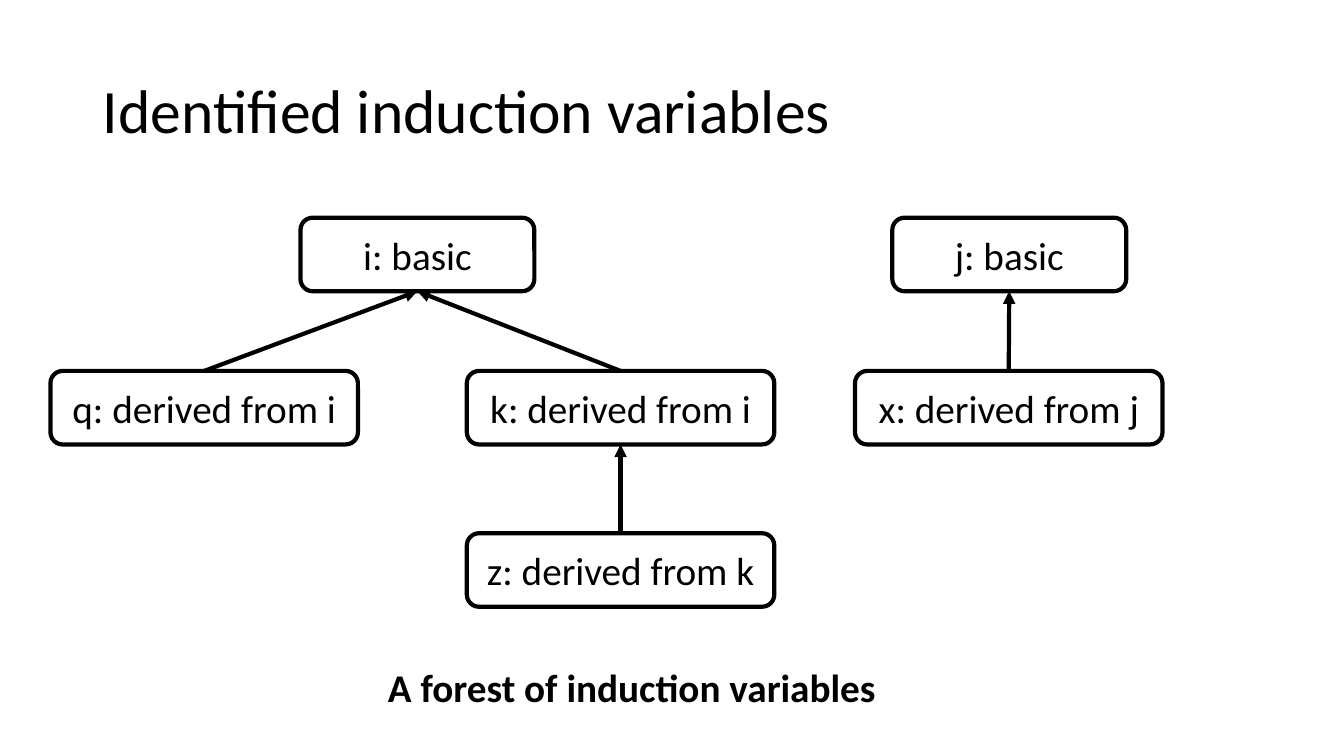
from dataclasses import dataclass

from lxml import etree
from pptx import Presentation
from pptx.dml.color import RGBColor
from pptx.enum.shapes import MSO_CONNECTOR as CONN, MSO_SHAPE as SHAPE
from pptx.enum.text import MSO_ANCHOR as ANCHOR, MSO_AUTO_SIZE as FIT, PP_ALIGN as ALIGN
from pptx.oxml.ns import qn
from pptx.shapes.autoshape import Shape
from pptx.slide import Slide
from pptx.text.text import TextFrame
from pptx.util import Inches, Pt

BLACK = RGBColor(0, 0, 0)
WHITE = RGBColor(255, 255, 255)
ROW_TOPS = (2.16, 3.68, 5.29)
NODE_HEIGHT = 0.73
BASIC_WIDTH, DERIVED_WIDTH = 2.32, 3.05
TOP_SITE, BOTTOM_SITE = 0, 2


@dataclass
class Variable:
    name: str
    left: float
    row: int
    parent: str = ""

    @property
    def label(self) -> str:
        kind = f"derived from {self.parent}" if self.parent else "basic"
        return f"{self.name}: {kind}"


VARIABLES = [
    Variable("i", 2.98, 0),
    Variable("j", 8.85, 0),
    Variable("k", 4.63, 1, "i"),
    Variable("z", 4.63, 2, "k"),
    Variable("q", 0.5, 1, "i"),
    Variable("x", 8.48, 1, "j"),
]


def write(tf: TextFrame, text: str, size: float, bold: bool = False) -> None:
    r = tf.paragraphs[0].add_run()
    r.text = text
    for key, value in {"name": "Calibri", "size": Pt(size), "bold": bold}.items():
        setattr(r.font, key, value)
    r.font.color.rgb = BLACK


def place(sp: Shape, left: float, top: float, width: float, height: float) -> None:
    box = {"left": left, "top": top, "width": width, "height": height}
    for key, value in box.items():
        setattr(sp, key, Inches(value))


def add_node(s: Slide, var: Variable) -> Shape:
    width = DERIVED_WIDTH if var.parent else BASIC_WIDTH
    sp = s.shapes.add_shape(
        SHAPE.ROUNDED_RECTANGLE, Inches(var.left),
        Inches(ROW_TOPS[var.row]), Inches(width), Inches(NODE_HEIGHT))
    sp.shadow.inherit = False
    sp.fill.background()
    sp.line.color.rgb = BLACK
    sp.line.width = Pt(3)
    tf = sp.text_frame
    tf.word_wrap = True
    tf.vertical_anchor = ANCHOR.MIDDLE
    tf.paragraphs[0].alignment = ALIGN.CENTER
    write(tf, var.label, 28)
    return sp


def add_arrow(s: Slide, child: Shape, parent: Shape) -> None:
    arrow = s.shapes.add_connector(CONN.STRAIGHT, 0, 0, 0, 0)
    arrow.begin_connect(child, TOP_SITE)
    arrow.end_connect(parent, BOTTOM_SITE)
    arrow.line.color.rgb = BLACK
    arrow.line.width = Pt(3)
    properties = arrow.element.spPr
    etree.SubElement(properties.find(qn("a:ln")), qn("a:tailEnd"), type="triangle")
    etree.SubElement(properties, qn("a:effectLst"))


def main() -> None:
    prs = Presentation()
    prs.slide_width, prs.slide_height = Inches(13.33), Inches(7.5)
    s = prs.slides.add_slide(prs.slide_layouts[5])
    s.background.fill.solid()
    s.background.fill.fore_color.rgb = WHITE

    # Title
    title = s.shapes.title
    place(title, 0.92, 0.4, 11.5, 1.45)
    title.text_frame.vertical_anchor = ANCHOR.MIDDLE
    p = title.text_frame.paragraphs[0]
    p.alignment = ALIGN.LEFT
    p.line_spacing = 0.9
    write(title.text_frame, "Identified induction variables", 44)

    # Forest of variables, each derived one pointing to its parent
    nodes = {var.name: add_node(s, var) for var in VARIABLES}
    for var in VARIABLES:
        if var.parent:
            add_arrow(s, nodes[var.name], nodes[var.parent])

    # Caption
    caption = s.shapes.add_textbox(
        Inches(3.75), Inches(6.53), Inches(5.1), Inches(0.57))
    caption.text_frame.word_wrap = False
    caption.text_frame.auto_size = FIT.SHAPE_TO_FIT_TEXT
    write(caption.text_frame, "A forest of induction variables", 28, bold=True)

    prs.save("out.pptx")


if __name__ == "__main__":
    main()
